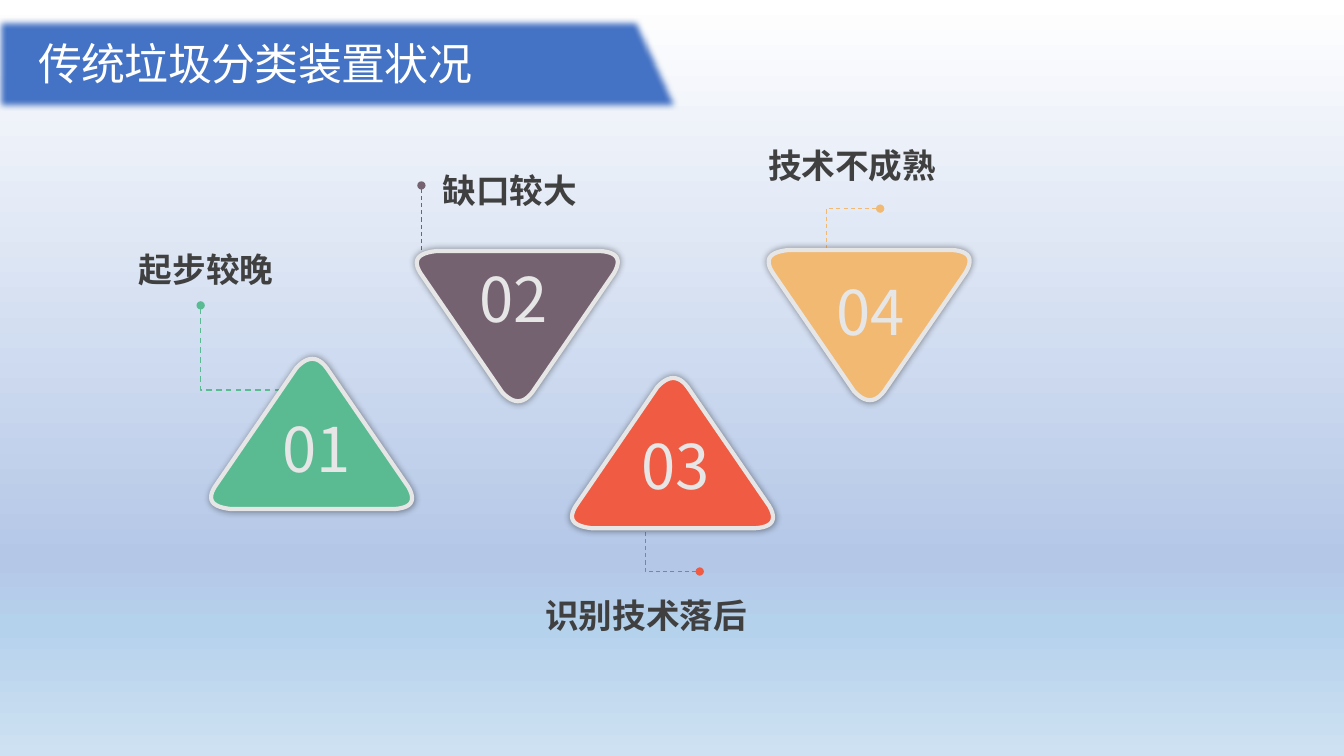
from dataclasses import dataclass

from lxml import etree
from pptx import Presentation
from pptx.dml.color import RGBColor
from pptx.enum.dml import MSO_LINE
from pptx.enum.text import MSO_ANCHOR, MSO_AUTO_SIZE, PP_ALIGN
from pptx.oxml.ns import qn
from pptx.util import Pt

PX = 9144  # EMU per px, 100 px to the inch
SLIDE_WIDTH, SLIDE_HEIGHT = 1333, 750
TITLE_ONLY_LAYOUT = 5
DASH = MSO_LINE.DASH
BOTTOM = MSO_ANCHOR.BOTTOM
LEFT = PP_ALIGN.LEFT
NO_AUTOFIT = MSO_AUTO_SIZE.NONE
FIT_SHAPE = MSO_AUTO_SIZE.SHAPE_TO_FIT_TEXT

TITLE_FONT = "Noto Sans CJK JP"
BODY_FONT = "Noto Sans CJK SC"
WHITE, PALE, DARK = "FFFFFF", "E7E6E6", "404040"
BANNER_FILL, BANNER_LINE = "4472C4", "325491"
BACKGROUND_STOPS = [(0, WHITE), (74, "B4C7E7"), (83, "B5D2EC"), (100, "CEE1F2")]
BANNER = [(-4, 18), (635, 18), (675, 104), (676, 109), (-4, 109)]

TRIANGLE_HEIGHT = 152
# Each rounded corner is a cubic curve: start, two controls, end.
CORNERS = [
    [(200, 130), (208, 144), (203, 151), (186, 152)],
    [(24, 152), (5, 150), (0, 143), (8, 130)],
    [(89, 12), (100, 0), (110, 0), (119, 12)],
]
CURVE_STEPS = 12

Point = tuple[float, float]


@dataclass
class Box:
    left: int
    top: int
    width: int
    height: int

    def emu(self) -> list[int]:
        return [length * PX for length in (self.left, self.top, self.width, self.height)]


@dataclass
class Issue:
    number: str
    label: str
    color: str
    triangle: Point
    points_down: bool
    number_box: Box
    label_box: Box
    leader: list[Point]
    leader_width: float = 0.75


ISSUES = [
    Issue("01", "起步较晚", "5ABB93", (205, 353), False, Box(270, 403, 92, 84),
          Box(128, 242, 155, 50), [(291, 387), (199, 387), (199, 303)], 1),
    Issue("02", "缺口较大", "756271", (409, 249), True, Box(466, 254, 92, 84),
          Box(429, 164, 183, 50), [(531, 268), (418, 268), (418, 184)]),
    Issue("03", "识别技术落后", "EF5B43", (563, 372), False, Box(626, 420, 92, 84),
          Box(531, 585, 222, 50), [(694, 567), (640, 567), (640, 500)]),
    Issue("04", "技术不成熟", "F2B973", (758, 248), True, Box(820, 267, 92, 84),
          Box(752, 139, 188, 50), [(873, 207), (820, 207), (820, 267)]),
]


def rgb(color: str) -> RGBColor:
    return RGBColor.from_string(color)


def add_child(parent, tag: str, **attributes):
    child = etree.SubElement(parent, qn(tag))
    for name, value in attributes.items():
        child.set(name, str(value))
    return child


def add_outline(shapes, points: list[Point], line_color: str, line_width: float,
                fill: str | None = None):
    """Draw a closed filled outline, or an open unfilled one when fill is None."""
    vertices = [(round(x * PX), round(y * PX)) for x, y in points]
    builder = shapes.build_freeform(*vertices[0])
    builder.add_line_segments(vertices[1:], close=fill is not None)
    shape = builder.convert_to_shape()
    shape.shadow.inherit = False
    if fill:
        shape.fill.solid()
        shape.fill.fore_color.rgb = rgb(fill)
    else:
        shape.fill.background()
    shape.line.color.rgb = rgb(line_color)
    shape.line.width = Pt(line_width)
    return shape


def format_run(run, size: float, font_name: str, color: str, bold: bool = False) -> None:
    run.font.size = Pt(size)
    run.font.name = font_name
    run.font.bold = bold
    run.font.color.rgb = rgb(color)
    add_child(run.font._element, "a:ea", typeface=font_name)


def add_text(shapes, box: Box, text: str, size: float, color: str, bold: bool = False) -> None:
    text_frame = shapes.add_textbox(*box.emu()).text_frame
    text_frame.word_wrap = False
    text_frame.auto_size = FIT_SHAPE
    text_frame.text = text
    format_run(text_frame.paragraphs[0].runs[0], size, BODY_FONT, color, bold)


def curve_points(corner: list[Point]) -> list[Point]:
    """Sample a cubic Bezier curve evenly."""
    points = []
    for step in range(CURVE_STEPS + 1):
        t = step / CURVE_STEPS
        weights = ((1 - t) ** 3, 3 * t * (1 - t) ** 2, 3 * t * t * (1 - t), t ** 3)
        points.append(tuple(sum(w * p[axis] for w, p in zip(weights, corner))
                            for axis in (0, 1)))
    return points


def triangle_points(issue: Issue) -> list[Point]:
    left, top = issue.triangle
    points = [point for corner in CORNERS for point in curve_points(corner)]
    return [(left + x, top + (TRIANGLE_HEIGHT - y if issue.points_down else y))
            for x, y in points]


def paint_background(slide) -> None:
    fill = slide.background.fill
    fill.gradient()
    fill.gradient_angle = 270
    stops = slide.element.find(".//" + qn("a:gsLst"))
    for stop in list(stops):
        stops.remove(stop)
    for position, color in BACKGROUND_STOPS:
        stop = add_child(stops, "a:gs", pos=position * 1000)
        add_child(stop, "a:srgbClr", val=color)


def add_banner(slide) -> None:
    banner = add_outline(slide.shapes, BANNER, BANNER_LINE, 1, BANNER_FILL)
    effects = banner.element.spPr.find(qn("a:effectLst"))
    add_child(effects, "a:softEdge", rad=Pt(5))


def set_title(slide, text: str) -> None:
    title = slide.shapes.title
    title.left, title.top, title.width, title.height = Box(30, 37, 603, 56).emu()
    text_frame = title.text_frame
    text_frame.margin_left = text_frame.margin_right = 8 * PX
    text_frame.margin_top = text_frame.margin_bottom = 4 * PX
    text_frame.vertical_anchor = BOTTOM
    text_frame.word_wrap = True
    text_frame.auto_size = NO_AUTOFIT
    text_frame.text = text
    paragraph = text_frame.paragraphs[0]
    paragraph.alignment = LEFT
    paragraph.line_spacing = 0.9
    run = paragraph.runs[0]
    format_run(run, 31.4, TITLE_FONT, WHITE)
    run.font._element.set("spc", "-50")
    # Bring the title in front of the banner.
    slide.shapes._spTree.append(title.element)


def add_leader(slide, issue: Issue) -> None:
    leader = add_outline(slide.shapes, issue.leader, issue.color, issue.leader_width)
    leader.line.dash_style = DASH
    line = leader.element.spPr.find(qn("a:ln"))
    for end in ("a:headEnd", "a:tailEnd"):
        add_child(line, end, type="oval")


def add_numbered_triangle(slide, issue: Issue) -> None:
    shapes = slide.shapes.add_group_shape().shapes
    triangle = add_outline(shapes, triangle_points(issue), PALE, 3, issue.color)
    effects = triangle.element.spPr.find(qn("a:effectLst"))
    shadow = add_child(effects, "a:outerShdw", blurRad=Pt(5), dist=0, dir=0,
                       algn="ctr", rotWithShape=0)
    add_child(add_child(shadow, "a:srgbClr", val="000000"), "a:alpha", val=40000)
    add_text(shapes, issue.number_box, issue.number, 44, PALE)


def main() -> None:
    presentation = Presentation()
    presentation.slide_width = SLIDE_WIDTH * PX
    presentation.slide_height = SLIDE_HEIGHT * PX
    slide = presentation.slides.add_slide(presentation.slide_layouts[TITLE_ONLY_LAYOUT])
    paint_background(slide)
    add_banner(slide)
    set_title(slide, "传统垃圾分类装置状况")
    for issue in ISSUES:
        add_leader(slide, issue)
    for issue in ISSUES:
        add_numbered_triangle(slide, issue)
        add_text(slide.shapes, issue.label_box, issue.label, 24, DARK, bold=True)
    presentation.save("out.pptx")


if __name__ == "__main__":
    main()
